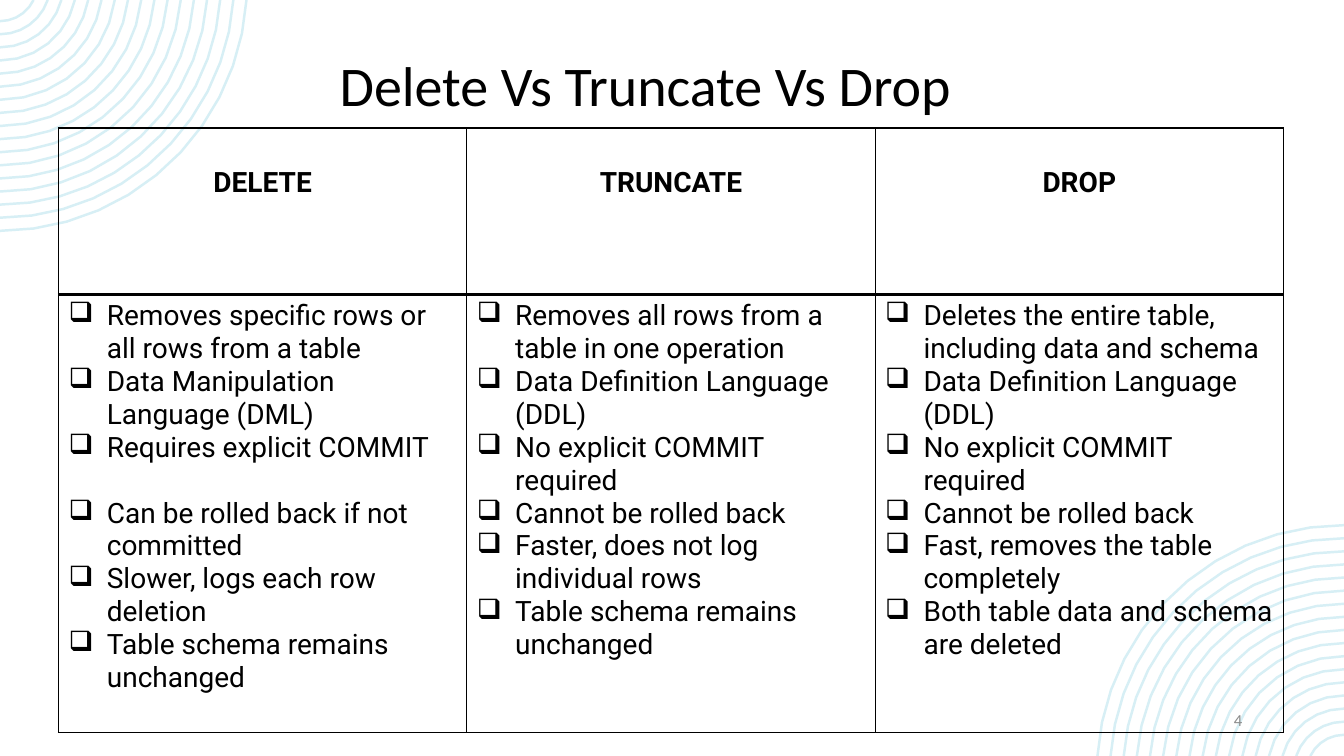
import math
import pptx
import pptx.util
import pptx.dml.color
import pptx.enum.text
import pptx.oxml.ns
from lxml import etree
from pptx.util import Inches, Pt

BLACK = pptx.dml.color.RGBColor(0x00, 0x00, 0x00)
GRAY = pptx.dml.color.RGBColor(0x8C, 0x8C, 0x8C)
PALE_BLUE = pptx.dml.color.RGBColor(0xD7, 0xEF, 0xF5)
ALIGN = pptx.enum.text.PP_ALIGN
MIDDLE = pptx.enum.text.MSO_ANCHOR.MIDDLE
qn = pptx.oxml.ns.qn


def add_text(paragraph, text, size, font, color=BLACK, bold=False):
    run = paragraph.add_run()
    run.text = text
    run.font.size = Pt(size)
    run.font.name = font
    run.font.color.rgb = color
    run.font.bold = bold


def add_border(cell, side, width):
    line = etree.SubElement(cell._tc.get_or_add_tcPr(), qn("a:" + side), w=str(Pt(width)))
    fill = etree.SubElement(line, qn("a:solidFill"))
    etree.SubElement(fill, qn("a:srgbClr"), val=str(BLACK))


deck = pptx.Presentation()
deck.slide_width = Inches(13.33)
deck.slide_height = Inches(7.5)
slide = deck.slides.add_slide(deck.slide_layouts[6])

RING_COUNT = 17
OUTER_RADIUS, RING_PITCH, CENTER_OFFSET = 2.45, 0.13, 0.16
for corner_x, corner_y, direction in [(0, 0, 1), (13.33, 7.5, -1)]:
    rings = None
    for ring in range(RING_COUNT):
        radius = OUTER_RADIUS - ring * RING_PITCH
        start = math.asin(CENTER_OFFSET / radius)
        steps = 4 + round(3 * radius)
        arc = []
        for step in range(steps + 1):
            angle = start + (math.pi / 2 - start) * step / steps
            x = radius * math.cos(angle)
            y = radius * math.sin(angle) - CENTER_OFFSET
            arc.append((Inches(corner_x + direction * x), Inches(corner_y + direction * y)))
        if rings is None:
            rings = slide.shapes.build_freeform(*arc[0])
        else:
            rings.move_to(*arc[0])
        rings.add_line_segments(arc[1:], close=False)
    corner_rings = rings.convert_to_shape()
    corner_rings.shadow.inherit = False
    corner_rings.fill.background()
    corner_rings.line.color.rgb = PALE_BLUE
    corner_rings.line.width = Pt(1.75)

for text, left, top, width, height, size, color, align in [
    ("Delete Vs Truncate Vs Drop", 3.27, 0.4, 7.35, 0.95, 40, BLACK, ALIGN.LEFT),
    ("4", 9.42, 6.95, 3, 0.4, 12, GRAY, ALIGN.RIGHT),
]:
    frame = slide.shapes.add_textbox(
        Inches(left), Inches(top), Inches(width), Inches(height)).text_frame
    frame.word_wrap = True
    frame.vertical_anchor = MIDDLE
    frame.paragraphs[0].alignment = align
    frame.paragraphs[0].line_spacing = 0.9
    add_text(frame.paragraphs[0], text, size, "Calibri", color)

commands = {
    "DELETE": [
        "Removes specific rows or all rows from a table",
        "Data Manipulation Language (DML)",
        "Requires explicit COMMIT",
        "Can be rolled back if not committed",
        "Slower, logs each row deletion",
        "Table schema remains unchanged",
    ],
    "TRUNCATE": [
        "Removes all rows from a table in one operation",
        "Data Definition Language (DDL)",
        "No explicit COMMIT required",
        "Cannot be rolled back",
        "Faster, does not log individual rows",
        "Table schema remains unchanged",
    ],
    "DROP": [
        "Deletes the entire table, including data and schema",
        "Data Definition Language (DDL)",
        "No explicit COMMIT required",
        "Cannot be rolled back",
        "Fast, removes the table completely",
        "Both table data and schema are deleted",
    ],
}

comparison = slide.shapes.add_table(
    2, len(commands), Inches(0.58), Inches(1.27), Inches(12.15), Inches(6)).table
comparison.first_row = False
comparison.horz_banding = False
comparison.rows[0].height = Inches(1.65)
comparison.rows[1].height = Inches(4.35)

for column, (command, traits) in enumerate(commands.items()):
    comparison.columns[column].width = Inches(4.05)
    heading, body = comparison.cell(0, column), comparison.cell(1, column)
    for cell, top_width, bottom_width in [(heading, 1, 2), (body, 2, 1)]:
        for side, width in [("lnL", 1), ("lnR", 1), ("lnT", top_width), ("lnB", bottom_width)]:
            add_border(cell, side, width)
        cell.fill.background()

    heading.margin_top = Inches(0.38)
    title = heading.text_frame.paragraphs[0]
    title.alignment = ALIGN.CENTER
    add_text(title, command, 20, "Roboto", bold=True)

    for index, trait in enumerate(traits):
        item = body.text_frame.paragraphs[0] if index == 0 else body.text_frame.add_paragraph()
        if trait == "Requires explicit COMMIT":
            item.space_after = Pt(23.5)
        properties = item._p.get_or_add_pPr()
        properties.set("marL", str(Inches(0.38)))
        properties.set("indent", str(Inches(-0.38)))
        etree.SubElement(properties, qn("a:buChar"), char="❑")
        add_text(item, trait, 20, "Roboto")

deck.save("out.pptx")
